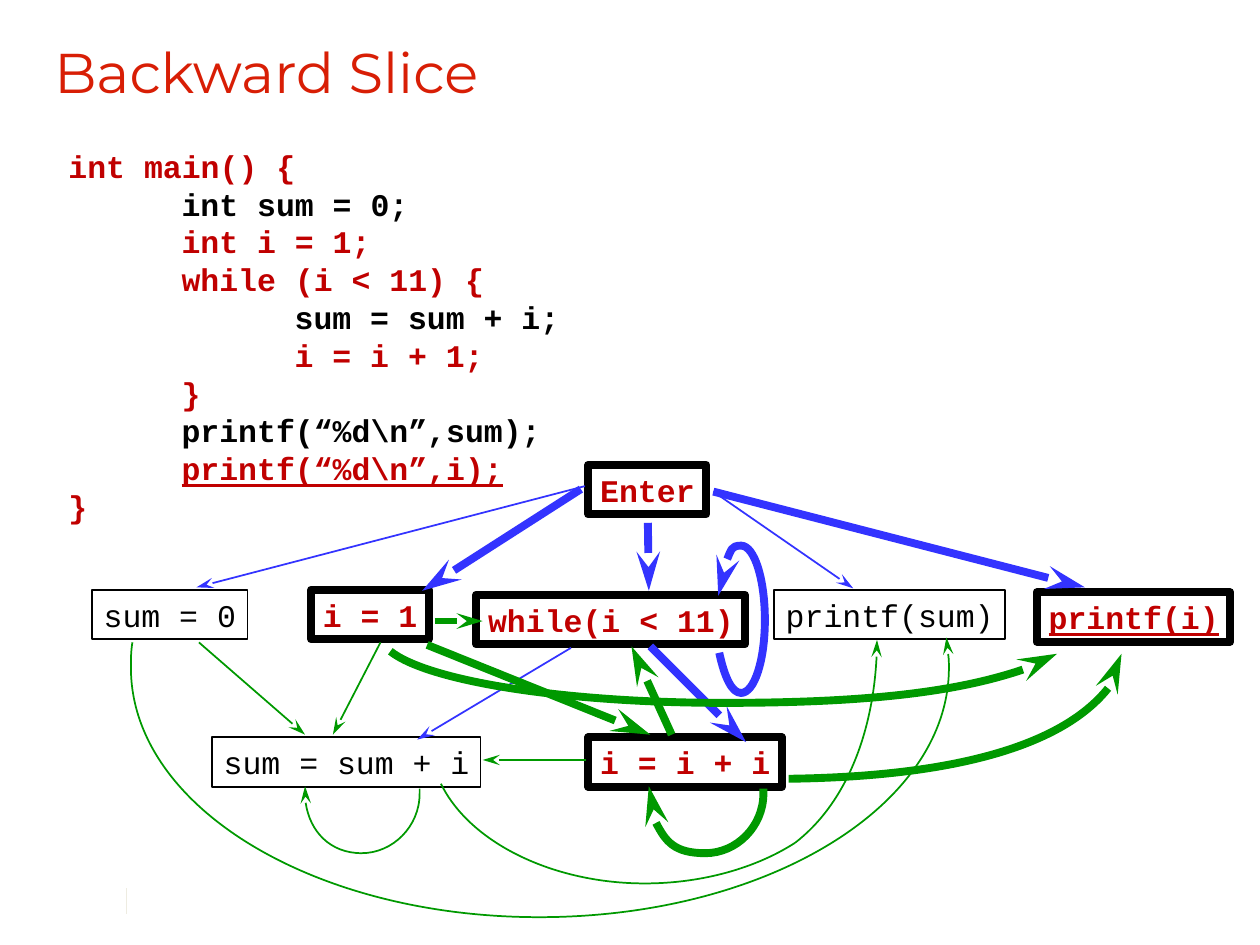
import dataclasses

import lxml.etree
import pptx
import pptx.dml.color
import pptx.enum.shapes
import pptx.enum.text
import pptx.oxml.ns
import pptx.util

Cm, Pt = pptx.util.Cm, pptx.util.Pt
qn = pptx.oxml.ns.qn


@dataclasses.dataclass(frozen=True)
class Theme:
    """Colours, fonts and sizes of the slide."""
    title: str = "D81E05"
    slice: str = "C00000"
    ink: str = "000000"
    control: str = "3333FF"
    data: str = "009900"
    rule: str = "EEECE1"
    title_font: str = "Montserrat"
    code_font: str = "Courier New"
    title_size: float = 32
    code_size: float = 18
    code_leading: float = 21.6
    thin: float = 1
    medium: float = 3
    thick: float = 4.5
    hairline: float = 0.25


T = Theme()

CODE = [
    (0, "int main() {", True),
    (1, "int sum = 0;", False),
    (1, "int i = 1;", True),
    (1, "while (i < 11) {", True),
    (2, "sum = sum + i;", False),
    (2, "i = i + 1;", True),
    (1, "}", True),
    (1, "printf(“%d\\n”,sum);", False),
    (1, "printf(“%d\\n”,i);", True),
    (0, "}", True),
]
CRITERION = ("printf(“%d\\n”,i);", "printf(i)")

NODES = [
    ("Enter", 10.86, 0.37, True),
    ("sum = 0", 0.85, 2.89, False),
    ("i = 1", 5.27, 2.89, True),
    ("while(i < 11)", 8.6, 2.99, True),
    ("printf(sum)", 14.6, 2.89, False),
    ("printf(i)", 19.9, 2.94, True),
    ("sum = sum + i", 3.27, 5.86, False),
    ("i = i + i", 10.86, 5.86, True),
]

EDGES = [
    (10.51, 4.06, 7.41, 5.91, T.control, T.thin),
    (10.79, 0.8, 2.96, 2.84, T.control, T.thin),
    (10.71, 0.86, 7.51, 2.91, T.control, T.thick),
    (13.38, 0.91, 16.2, 2.86, T.control, T.thin),
    (13.38, 0.91, 20.87, 2.84, T.control, T.thick),
    (12.06, 1.54, 12.08, 2.91, T.control, T.thick),
    (12.11, 4.03, 14.04, 5.96, T.control, T.thick),
    (3.01, 3.95, 5.15, 5.81, T.data, T.thin),
    (6.67, 3.95, 5.71, 5.81, T.data, T.thin),
    (7.76, 3.52, 8.73, 3.52, T.data, T.medium),
    (7.61, 4, 12.11, 5.81, T.data, T.thick),
    (12.54, 5.81, 11.73, 4.03, T.data, T.thick),
    (10.81, 6.32, 8.73, 6.32, T.data, T.thin),
]

LOOP = [(7.46, 6.9), (7.46, 6.93), (7.46, 6.95), (7.46, 7), (7.46, 7.66),
        (6.92, 8.2), (6.29, 8.2), (5.65, 8.2), (5.15, 7.66), (5.15, 7),
        (5.15, 6.95), (5.15, 6.9), (5.15, 6.85)]

CURVES = [
    ([(18.08, 3.85), (18.1, 4.06), (18.13, 4.26), (18.13, 4.46), (18.13, 7.26),
      (14.44, 9.49), (9.87, 9.49), (5.32, 9.49), (1.64, 7.26), (1.64, 4.46),
      (1.64, 4.28), (1.64, 4.13), (1.67, 3.95)], "headEnd", T.data, T.thin),
    ([(20.31, 4.18), (19.47, 4.77), (16.73, 5.17), (13.61, 5.17), (10.4, 5.17),
      (7.64, 4.74), (6.87, 4.13)], "headEnd", T.data, T.thick),
    (LOOP, "tailEnd", T.data, T.thin),
    ([(x + 6.93, y) for x, y in LOOP], "tailEnd", T.data, T.thick),
    ([(15.03, 7.99), (14.24, 8.5), (13.15, 8.81), (12, 8.81), (10.15, 8.81),
      (8.47, 7.99), (7.89, 6.8)], None, T.data, T.thin),
    ([(16.68, 3.9), (16.68, 5.61), (16.04, 7.21), (15.03, 7.99)],
     "headEnd", T.data, T.thin),
    ([(21.61, 4.18), (21.61, 5.53), (18.63, 6.65), (14.9, 6.7)],
     "headEnd", T.data, T.thick),
    ([(13.48, 3.01), (13.55, 2.4), (13.73, 2), (13.94, 2), (14.21, 2),
      (14.42, 2.68), (14.42, 3.5), (14.42, 4.31), (14.21, 4.97), (13.94, 4.97),
      (13.76, 4.97), (13.61, 4.67), (13.5, 4.16)], "headEnd", T.control, T.thick),
]


def rgb(value):
    """Turn a hex string into a colour."""
    return pptx.dml.color.RGBColor.from_string(value)


def set_line(sp, color, width, end=None):
    """Set the line of a shape or connector, with an optional arrowhead."""
    sp.line.color.rgb = rgb(color)
    sp.line.width = Pt(width)
    if end:
        lxml.etree.SubElement(sp.line._ln, qn("a:" + end),
                              type="stealth", w="med", len="lg")


def set_frame(tf):
    """Give a code text frame its insets, with slack at the right, and sizing."""
    tf.margin_left = Cm(0.24)
    tf.margin_right = Cm(0.05)
    tf.margin_top = tf.margin_bottom = Cm(0.13)
    tf.word_wrap = False
    tf.auto_size = pptx.enum.text.MSO_AUTO_SIZE.SHAPE_TO_FIT_TEXT


def set_code_font(p, color, bold):
    """Format a paragraph of code."""
    p.alignment = pptx.enum.text.PP_ALIGN.LEFT
    p.line_spacing = Pt(T.code_leading)
    p.font.name = T.code_font
    p.font.size = Pt(T.code_size)
    p.font.bold = bold
    p.font.color.rgb = rgb(color)


def add_line(s, x1, y1, x2, y2, color, width, end=None):
    """Draw a straight line between two points in centimetres."""
    c = s.shapes.add_connector(pptx.enum.shapes.MSO_CONNECTOR.STRAIGHT,
                               Cm(x1), Cm(y1), Cm(x2), Cm(y2))
    set_line(c, color, width, end)
    lxml.etree.SubElement(c._element.spPr, qn("a:effectLst"))


def add_curve(s, points, end, color, width):
    """Draw a chain of cubic Bézier segments through control points."""
    pts = [(Cm(x), Cm(y)) for x, y in points]
    fb = s.shapes.build_freeform(*pts[0], scale=1.0)
    fb.add_line_segments(pts[1:], close=False)
    sp = fb.convert_to_shape()
    steps = list(sp._element.iter(qn("a:lnTo")))
    for i in range(0, len(steps), 3):
        cubic = lxml.etree.Element(qn("a:cubicBezTo"))
        steps[i].addprevious(cubic)
        for step in steps[i:i + 3]:
            cubic.append(step[0])
            step.getparent().remove(step)
    sp.fill.background()
    sp.shadow.inherit = False
    set_line(sp, color, width, end)


def add_node(s, left, top, text, in_slice):
    """Draw one statement box, sized by its number of characters."""
    sp = s.shapes.add_shape(pptx.enum.shapes.MSO_SHAPE.RECTANGLE, Cm(left), Cm(top),
                            Cm(0.48 + 0.38 * len(text)), Cm(1))
    sp.fill.background()
    sp.shadow.inherit = False
    set_line(sp, T.ink, T.thick if in_slice else T.thin)
    set_frame(sp.text_frame)
    p = sp.text_frame.paragraphs[0]
    p.text = text
    set_code_font(p, T.slice if in_slice else T.ink, in_slice)
    if text in CRITERION:
        p.font.underline = True


def build_title(s, left, top, width, height):
    """Place and format the title placeholder."""
    sp = s.shapes.title
    sp.left, sp.top, sp.width, sp.height = Cm(left), Cm(top), Cm(width), Cm(height)
    tf = sp.text_frame
    tf.text = "Backward Slice"
    tf.vertical_anchor = pptx.enum.text.MSO_ANCHOR.TOP
    p = tf.paragraphs[0]
    p.alignment = pptx.enum.text.PP_ALIGN.LEFT
    p.font.name = T.title_font
    p.font.size = Pt(T.title_size)
    p.font.color.rgb = rgb(T.title)


def build_code(s, left, top, width, height):
    """Place the program listing with the slice in red."""
    tf = s.shapes.add_textbox(Cm(left), Cm(top), Cm(width), Cm(height)).text_frame
    set_frame(tf)
    for i, (level, text, in_slice) in enumerate(CODE):
        p = tf.paragraphs[0] if i == 0 else tf.add_paragraph()
        tabs = lxml.etree.SubElement(p._p.get_or_add_pPr(), qn("a:tabLst"))
        for n in (1, 2):
            lxml.etree.SubElement(tabs, qn("a:tab"), pos=str(Cm(2.28 * n)), algn="l")
        if level:
            p.add_run().text = "\t" * level
        r = p.add_run()
        r.text = text
        set_code_font(p, T.slice if in_slice else T.ink, True)
        if text in CRITERION:
            r.font.underline = True


def build_graph(s, left, top):
    """Draw the dependence graph from its top left corner."""
    for text, x, y, in_slice in NODES:
        add_node(s, left + x, top + y, text, in_slice)
    for x1, y1, x2, y2, color, width in EDGES:
        add_line(s, left + x1, top + y1, left + x2, top + y2, color, width, "tailEnd")
    for points, end, color, width in CURVES:
        add_curve(s, [(left + x, top + y) for x, y in points], end, color, width)


def main():
    """Build the slide and save it."""
    prs = pptx.Presentation()
    prs.slide_width, prs.slide_height = Cm(25.4), Cm(19.05)
    s = prs.slides.add_slide(prs.slide_layouts[5])
    add_line(s, 2.54, 17.91, 2.54, 18.42, T.rule, T.hairline)
    build_title(s, 0.84, 0.62, 23.93, 2.34)
    build_code(s, 1.14, 2.83, 10.44, 7.92)
    build_graph(s, 1, 9)
    prs.save("out.pptx")


if __name__ == "__main__":
    main()
